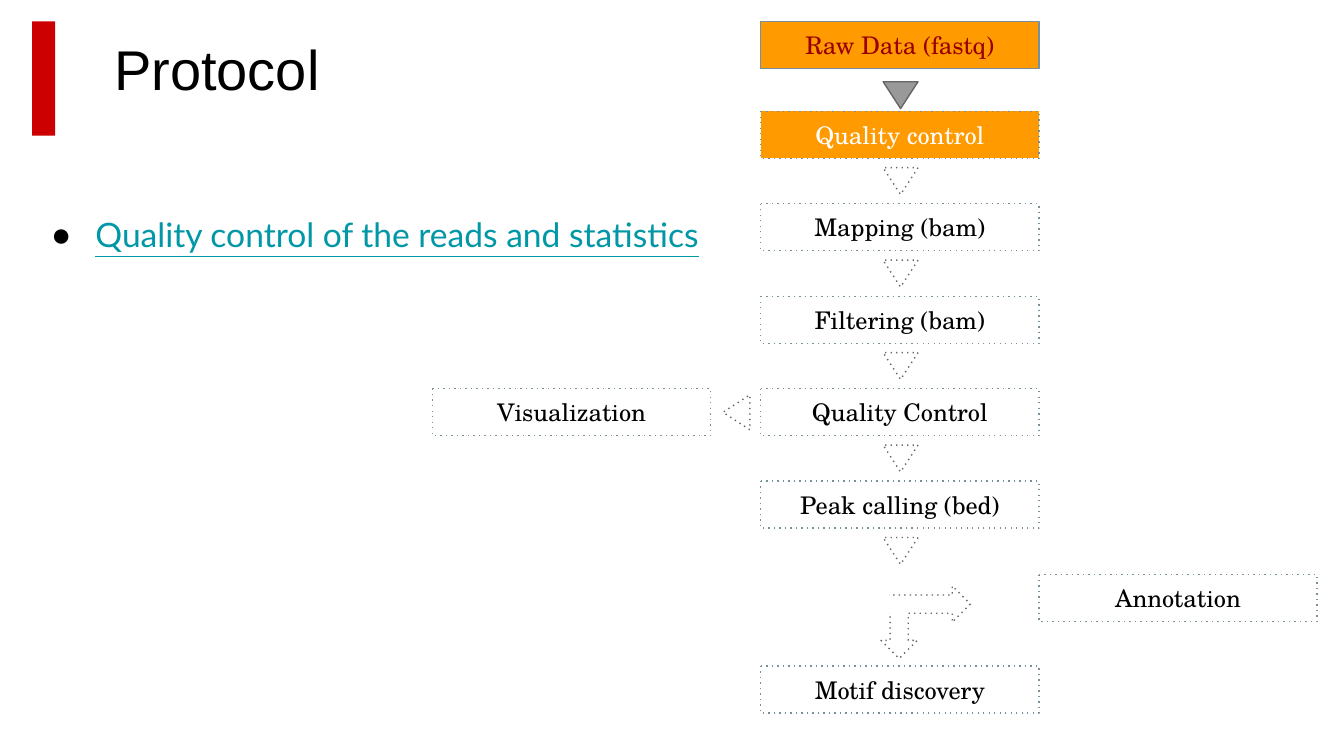
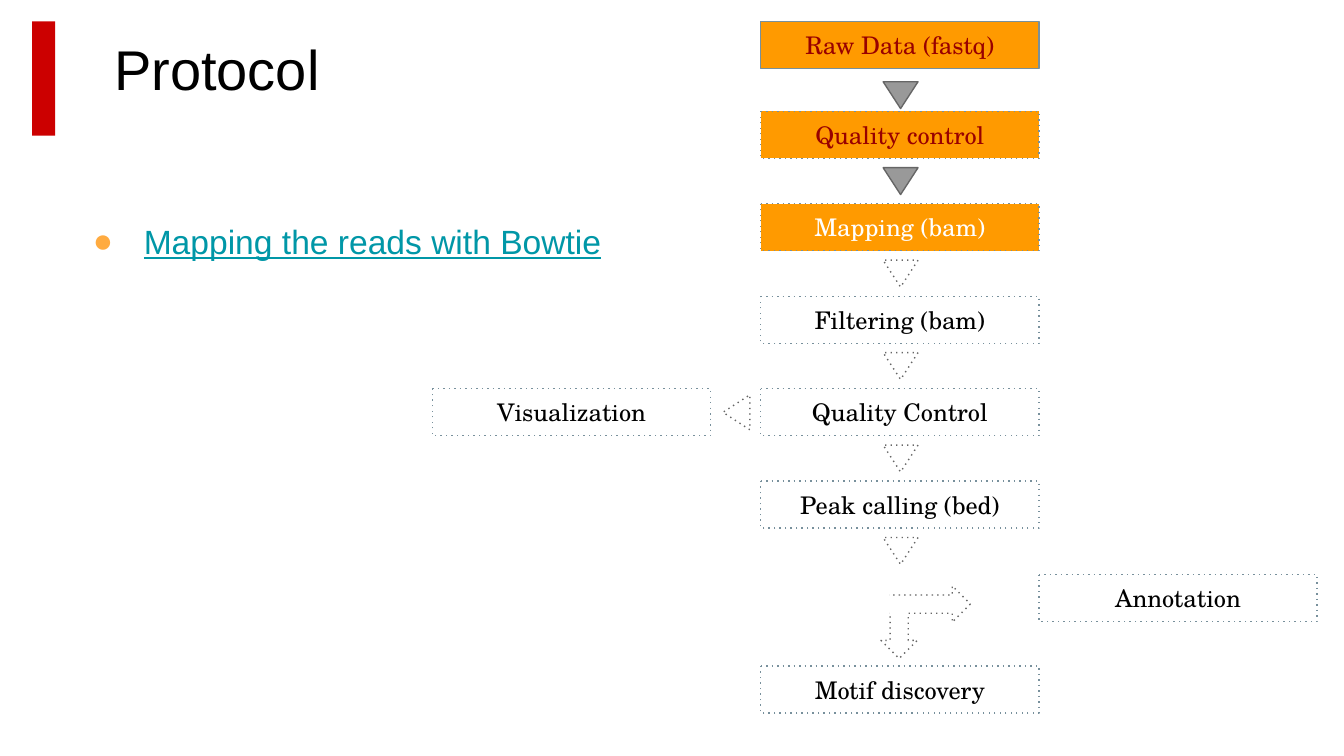
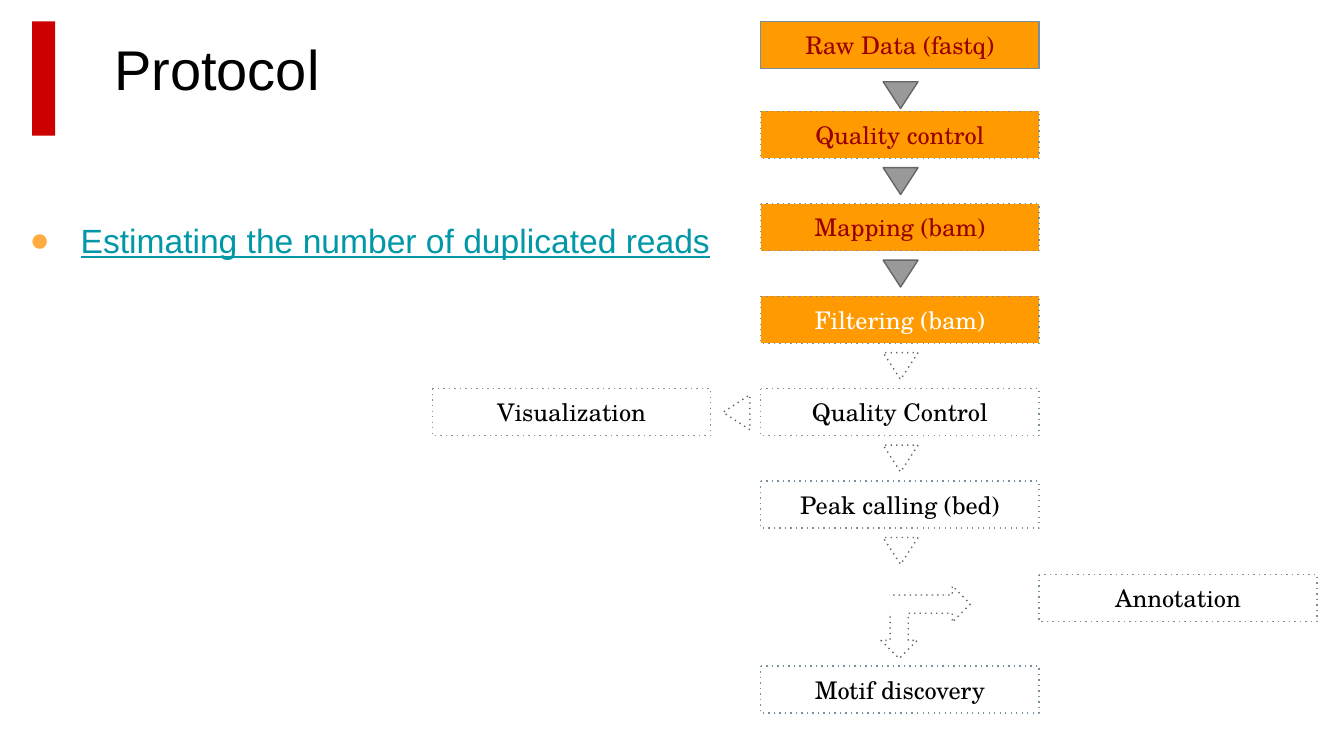
from dataclasses import dataclass

from lxml import etree
from pptx import Presentation
from pptx import util as u
from pptx.dml.color import RGBColor
from pptx.enum import dml, shapes, text
from pptx.oxml.ns import qn

WIDE = 10
HIGH = WIDE * 9 / 16
LEFT, COL = 5.66, 2.07
TOP, ROW = 0.14, 0.688
BOX = (2.07, 0.35)
TIP = (0.26, 0.2)
HUES = {
    "band": "CC0000", "done": "FF9A00", "ink": "000000", "past": "980000",
    "plain": "FFFFFF", "edge": "78909C", "rim": "666666", "tip": "999999",
    "link": "0097A7", "dot": "FFAB40",
}
FORM = shapes.MSO_SHAPE


@dataclass
class Step:
    label: str
    col: float
    row: float


@dataclass
class Tip:
    col: float
    row: float
    turn: int = 180


@dataclass
class Page:
    now: int
    words: str
    frame: tuple
    font: str = "Arial"
    dot: str = "dot"
    hang: float = 0.38


STEPS = [Step("Raw Data (fastq)", 0, 0.03)] + [
    Step(label, 0, row) for row, label in enumerate(
        ("Quality control", "Mapping (bam)", "Filtering (bam)",
         "Quality Control", "Peak calling (bed)"), 1)
] + [
    Step("Annotation", 1, 6.01),
    Step("Motif discovery", 0, 7),
    Step("Visualization", -1.18, 4),
]
TIPS = [Tip(0.44, 0.68)] + [Tip(0.44, row + 0.61) for row in range(1, 6)]
TIPS.append(Tip(-0.15, 4.11, 270))

PAGES = [
    Page(1, "Quality control of the reads and statistics",
         (0.11, 1.45, 6.16, 1.11), "Lato", "ink", 0.33),
    Page(2, "Mapping the reads with Bowtie", (0.47, 1.5, 9.15, 3.6)),
    Page(3, "Estimating the number of duplicated reads", (0, 1.49, 5.47, 0.71)),
]


def tint(name: str) -> RGBColor:
    return RGBColor.from_string(HUES[name])


def spot(col: float, row: float, size: tuple) -> tuple:
    return (LEFT + col * COL, TOP + row * ROW, *size)


def write(frame, words: str, *, size: float, font: str, hue: str,
          align=text.PP_ALIGN.LEFT, anchor=text.MSO_ANCHOR.TOP,
          pad: float = 0.1, lead: float = 1.0, line: bool = False):
    frame.word_wrap = True
    frame.auto_size = text.MSO_AUTO_SIZE.NONE
    frame.vertical_anchor = anchor
    frame.margin_left = frame.margin_right = u.Inches(0.1)
    frame.margin_top = frame.margin_bottom = u.Inches(pad)
    para = frame.paragraphs[0]
    para.alignment, para.line_spacing = align, lead
    para.space_before = u.Pt(0)
    run = para.add_run()
    run.text = words
    run.font.size, run.font.name = u.Pt(size), font
    run.font.color.rgb = tint(hue)
    run.font.underline = line
    return para


def place(shape, frame: tuple) -> None:
    shape.left, shape.top, shape.width, shape.height = map(u.Inches, frame)


def draw(host, form, frame: tuple, fill: str, edge: str = "",
         dash: bool = False, turn: int = 0):
    shape = host.add_shape(form, *map(u.Inches, frame))
    shape.shadow.inherit = False
    shape.rotation = turn
    shape.fill.solid()
    shape.fill.fore_color.rgb = tint(fill)
    if not edge:
        shape.line.fill.background()
        return shape
    shape.line.color.rgb = tint(edge)
    shape.line.width = u.Pt(0.75)
    if dash:
        shape.line.dash_style = dml.MSO_LINE.ROUND_DOT
        next(shape.element.iter(qn("a:prstDash"))).set("val", "dot")
    return shape


def mark(para, hue: str, hang: float) -> None:
    props = para._p.get_or_add_pPr()
    props.set("marL", str(u.Inches(0.5)))
    props.set("indent", str(-u.Inches(hang)))
    shade = etree.SubElement(props, qn("a:buClr"))
    etree.SubElement(shade, qn("a:srgbClr"), val=HUES[hue])
    etree.SubElement(props, qn("a:buFont"), typeface="Arial")
    etree.SubElement(props, qn("a:buChar"), char="●")


def chart(slide, now: int) -> None:
    group = slide.shapes.add_group_shape().shapes
    for step in STEPS:
        done = step.col == 0 and step.row <= now
        hue = "ink" if not done else "plain" if step.row == now else "past"
        box = draw(group, FORM.FLOWCHART_PROCESS, spot(step.col, step.row, BOX),
                   "done" if done else "plain", "edge", step.row >= 1)
        write(box.text_frame, step.label, size=13, font="TeX Gyre Schola",
              hue=hue, align=text.PP_ALIGN.CENTER,
              anchor=text.MSO_ANCHOR.MIDDLE, pad=0.05)
    for tip in TIPS:
        done = tip.row < now
        draw(group, FORM.FLOWCHART_EXTRACT, spot(tip.col, tip.row, TIP),
             "tip" if done else "plain", "rim", not done, tip.turn)
    draw(group, FORM.LEFT_RIGHT_UP_ARROW, (6.16, 4.36, 1.06, 0.54),
         "plain", "rim", True, 180)
    draw(slide.shapes, FORM.RECTANGLE, (5.93, 4.36, 0.68, 0.35), "plain", "plain")


def build(deck, page: Page) -> None:
    slide = deck.slides.add_slide(deck.slide_layouts[1])
    draw(slide.shapes, FORM.RECTANGLE, (0.24, 0.16, 0.17, 0.85), "band")
    title, body = slide.shapes.title, slide.placeholders[1]
    place(title, (0.75, 0.16, 8.29, 0.85))
    write(title.text_frame, "Protocol", size=30, font="Arial", hue="ink")
    place(body, page.frame)
    para = write(body.text_frame, page.words, size=18, font=page.font,
                 hue="link", lead=1.15, line=True)
    mark(para, page.dot, page.hang)
    chart(slide, page.now)


def main() -> None:
    deck = Presentation()
    deck.slide_width, deck.slide_height = u.Inches(WIDE), u.Inches(HIGH)
    for page in PAGES:
        build(deck, page)
    deck.save("out.pptx")


if __name__ == "__main__":
    main()
